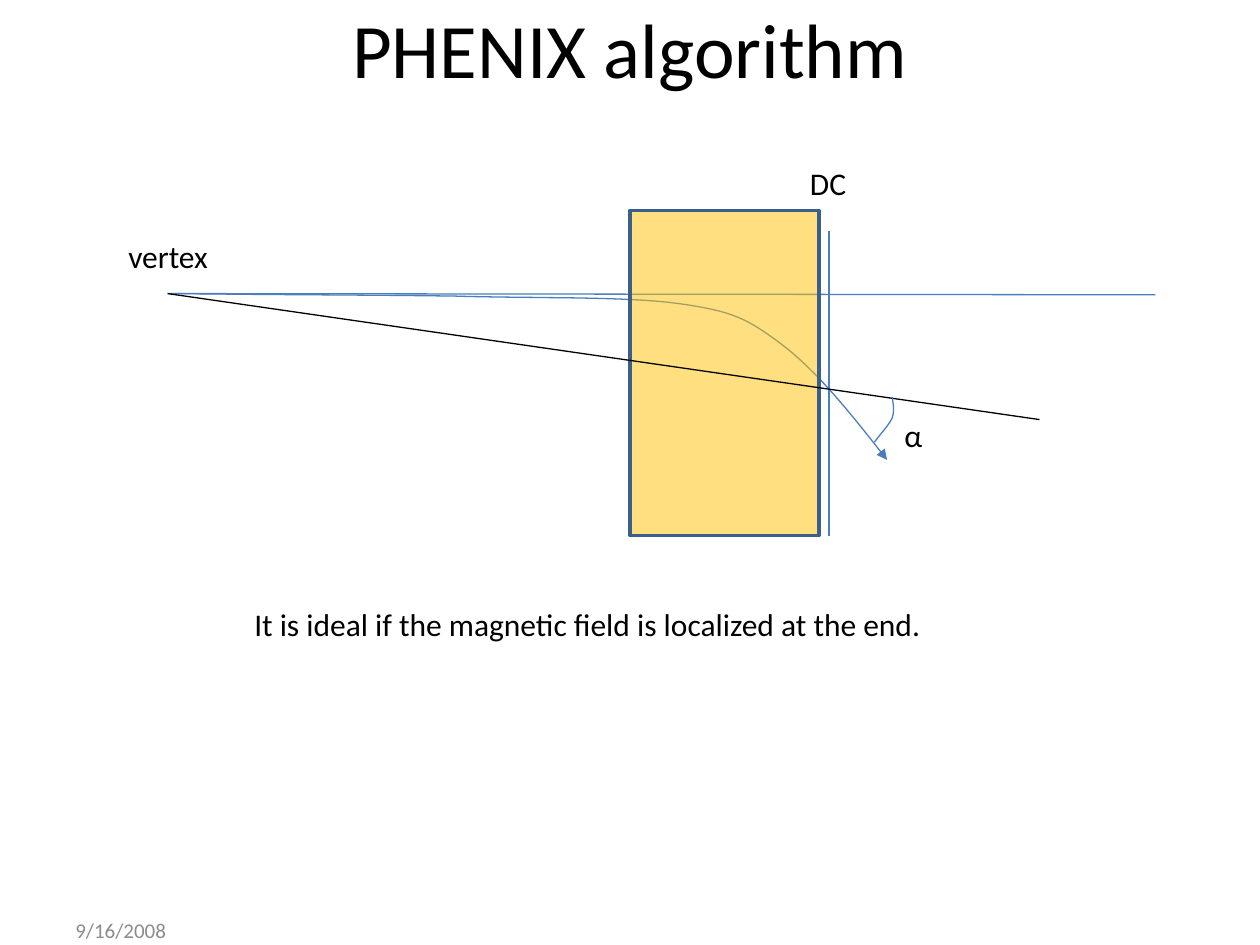
"""Build the PHENIX algorithm slide: a track bending in a field before the DC."""

from dataclasses import dataclass

from lxml.etree import SubElement
from pptx import Presentation
from pptx.dml.color import RGBColor
from pptx.enum.shapes import MSO_CONNECTOR, MSO_SHAPE
from pptx.enum.text import MSO_ANCHOR, MSO_AUTO_SIZE, PP_ALIGN
from pptx.oxml.ns import qn
from pptx.util import Inches, Pt

COLORS = {
    "text": "000000",
    "date": "8C8C8C",
    "track": "4B7EBC",
    "field": "FFC000",
    "field_edge": "3A5F8C",
}
FONT = "Calibri"
CURVE_STEPS = 16

Point = tuple[float, float]


@dataclass
class Label:
    text: str
    left: float
    top: float
    width: float
    size: int = 18
    color: str = "text"
    wrap: bool = False
    anchor: MSO_ANCHOR = MSO_ANCHOR.TOP


@dataclass
class Ray:
    start: Point
    end: Point
    color: str = "track"


@dataclass
class Curve:
    start: Point
    segments: list[tuple[Point, Point, Point]]
    arrow: bool = False


VERTEX = (1.33, 2.33)
AXES = [Ray(VERTEX, (9.17, 2.34)), Ray((6.58, 1.83), (6.58, 4.25))]
STRAIGHT_RAY = Ray(VERTEX, (8.25, 3.33), "text")
TRACK = Curve(
    (1.39, 2.33),
    [
        ((2.13, 2.34), (2.86, 2.34), (3.6, 2.35)),
        ((4.27, 2.37), (4.95, 2.35), (5.39, 2.41)),
        ((5.82, 2.47), (5.93, 2.53), (6.2, 2.73)),
        ((6.48, 2.94), (6.76, 3.29), (7.04, 3.65)),
    ],
    arrow=True,
)
ANGLE_ARC = Curve(
    (7.08, 3.15),
    [
        ((7.09, 3.21), (7.1, 3.26), (7.08, 3.32)),
        ((7.05, 3.38), (6.99, 3.44), (6.94, 3.51)),
    ],
)
LABELS = [
    Label("α", 7.08, 3.25, 0.36),
    Label("It is ideal if the magnetic field is localized at the end.", 1.92, 4.75, 5.56),
    Label("vertex", 0.92, 1.83, 0.84),
    Label("DC", 6.33, 1.25, 0.49),
    Label("9/16/2008", 0.5, 7.18, 2.33, 12, "date", True, MSO_ANCHOR.MIDDLE),
]


def rgb(name: str) -> RGBColor:
    return RGBColor.from_string(COLORS[name])


def add_run(paragraph, text: str, size: int, color: str) -> None:
    run = paragraph.add_run()
    run.text = text
    run.font.name = FONT
    run.font.size = Pt(size)
    run.font.color.rgb = rgb(color)


def set_line(shape, color: str, width: float = 0.75) -> None:
    shape.line.color.rgb = rgb(color)
    shape.line.width = Pt(width)


def add_title(slide, text: str) -> None:
    title = slide.shapes.title
    title.left, title.top = Inches(0.5), Inches(-0.25)
    title.width, title.height = Inches(9), Inches(1.25)
    title.text_frame.vertical_anchor = MSO_ANCHOR.MIDDLE
    paragraph = title.text_frame.paragraphs[0]
    paragraph.alignment = PP_ALIGN.CENTER
    add_run(paragraph, text, 44, "text")


def add_ray(slide, ray: Ray) -> None:
    ends = [Inches(value) for value in (*ray.start, *ray.end)]
    connector = slide.shapes.add_connector(MSO_CONNECTOR.STRAIGHT, *ends)
    set_line(connector, ray.color)
    SubElement(connector._element.spPr, qn("a:effectLst"))


def bezier_points(start: Point, first: Point, second: Point, end: Point) -> list[Point]:
    points = []
    for step in range(1, CURVE_STEPS + 1):
        t = step / CURVE_STEPS
        weights = ((1 - t) ** 3, 3 * t * (1 - t) ** 2, 3 * t**2 * (1 - t), t**3)
        controls = (start, first, second, end)
        x, y = (sum(w * c[axis] for w, c in zip(weights, controls)) for axis in (0, 1))
        points.append((x, y))
    return points


def add_curve(slide, curve: Curve) -> None:
    points = [curve.start]
    for segment in curve.segments:
        points += bezier_points(points[-1], *segment)
    vertices = [(Inches(x), Inches(y)) for x, y in points]
    builder = slide.shapes.build_freeform(*vertices[0])
    builder.add_line_segments(vertices[1:], close=False)
    shape = builder.convert_to_shape()
    shape.fill.background()
    shape.shadow.inherit = False
    set_line(shape, "track")
    if curve.arrow:
        SubElement(shape.line._get_or_add_ln(), qn("a:tailEnd"), type="triangle")


def add_field(slide) -> None:
    field = slide.shapes.add_shape(
        MSO_SHAPE.RECTANGLE, Inches(5), Inches(1.67), Inches(1.5), Inches(2.58)
    )
    field.shadow.inherit = False
    field.fill.solid()
    field.fill.fore_color.rgb = rgb("field")
    color = field._element.spPr.find(qn("a:solidFill")).find(qn("a:srgbClr"))
    SubElement(color, qn("a:alpha"), val="50000")
    set_line(field, "field_edge", 2)


def add_label(slide, label: Label) -> None:
    box = slide.shapes.add_textbox(
        Inches(label.left), Inches(label.top), Inches(label.width), Inches(0.4)
    )
    frame = box.text_frame
    frame.word_wrap = label.wrap
    frame.vertical_anchor = label.anchor
    frame.auto_size = MSO_AUTO_SIZE.NONE if label.wrap else MSO_AUTO_SIZE.SHAPE_TO_FIT_TEXT
    add_run(frame.paragraphs[0], label.text, label.size, label.color)


def main() -> None:
    presentation = Presentation()
    presentation.slide_width, presentation.slide_height = Inches(10), Inches(7.5)
    slide = presentation.slides.add_slide(presentation.slide_layouts[5])
    add_title(slide, "PHENIX algorithm")
    for axis in AXES:
        add_ray(slide, axis)
    add_curve(slide, TRACK)
    add_field(slide)
    add_ray(slide, STRAIGHT_RAY)
    add_curve(slide, ANGLE_ARC)
    for label in LABELS:
        add_label(slide, label)
    presentation.save("out.pptx")


if __name__ == "__main__":
    main()
